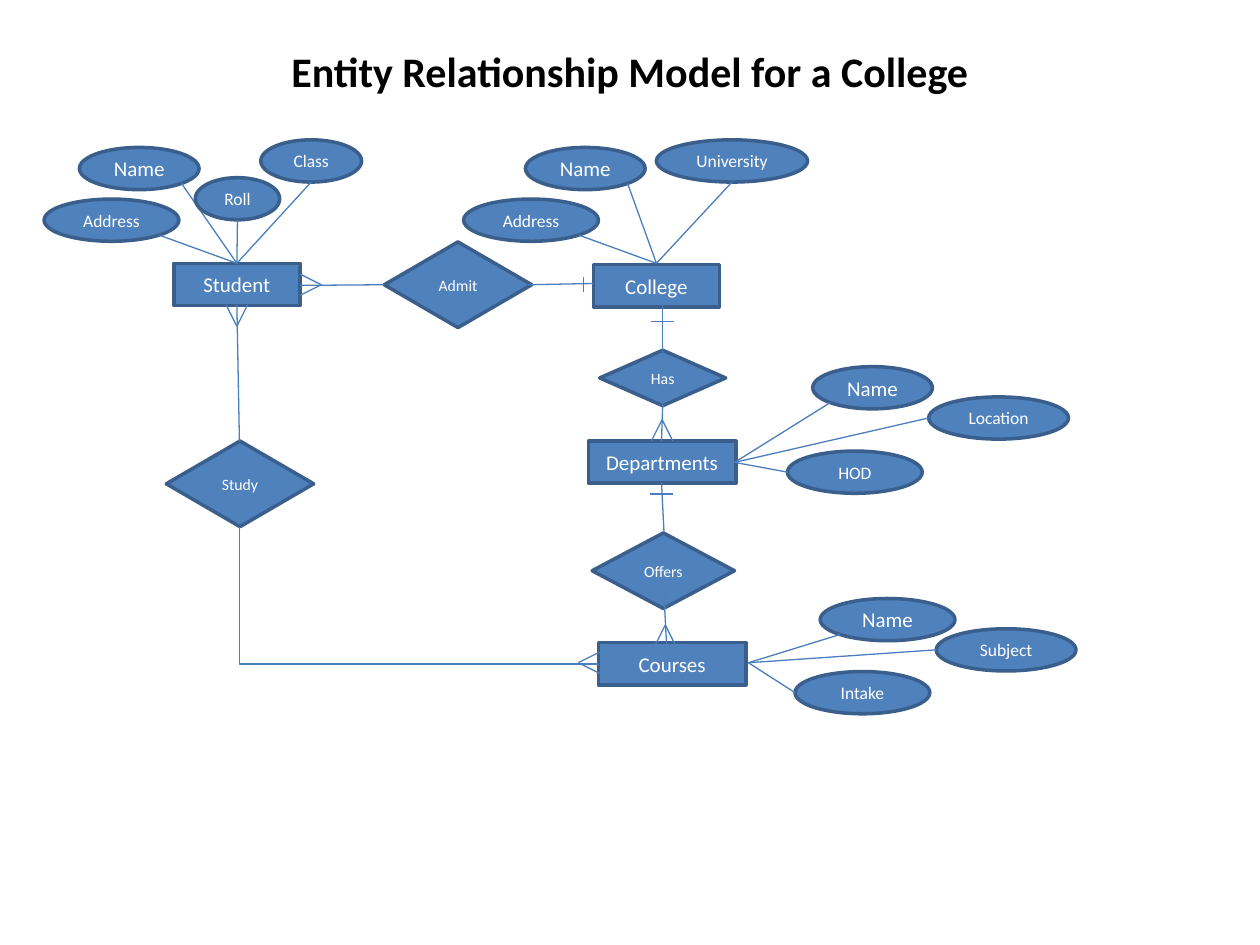
import math

import lxml.etree
import pptx
import pptx.dml.color
import pptx.enum.shapes
import pptx.enum.text
import pptx.oxml.ns
import pptx.util

RGBColor = pptx.dml.color.RGBColor
SHAPE = pptx.enum.shapes.MSO_SHAPE
CONNECTOR = pptx.enum.shapes.MSO_CONNECTOR

BLACK = RGBColor(0x00, 0x00, 0x00)
WHITE = RGBColor(0xFF, 0xFF, 0xFF)
NODE_FILL = RGBColor(0x4F, 0x81, 0xBD)
NODE_LINE = RGBColor(0x3A, 0x5F, 0x8C)
LINK = RGBColor(0x4B, 0x7E, 0xBC)
FONT = "Calibri"

# The slide is a grid of 100 columns and 75 square rows.
COLUMNS, ROWS = 100, 75
CELL = pptx.util.Inches(0.1)
NODE_HEIGHT = 3.35
TOE_LENGTH, TOE_SPREAD = 1.7, 0.85

# text, left, top, width
ENTITIES = [
    ("Student", 13.8, 20.9, 10),
    ("College", 47.1, 21, 10),
    ("Departments", 46.7, 35, 11.7),
    ("Courses", 47.5, 51, 11.7),
]

# text, left, top, width, height
RELATIONSHIPS = [
    ("Admit", 30.5, 19.2, 11.7, 6.8),
    ("Has", 47.6, 27.8, 10, 4.4),
    ("Offers", 47, 42.3, 11.3, 6),
    ("Study", 13.2, 35, 11.7, 6.8),
]

# meeting point on the entity, then: text, left, top, width, side the line leaves
ATTRIBUTES = [
    ((18.8, 20.9), [
        ("Name", 6.3, 11.7, 9.5, (1, 1)),
        ("Address", 3.5, 15.8, 10.7, (1, 1)),
        ("Roll", 15.5, 14.1, 6.7, (0, 1)),
        ("Class", 20.7, 11.1, 8, (0, 1)),
    ]),
    ((52.1, 20.9), [
        ("Name", 41.7, 11.7, 9.5, (1, 1)),
        ("Address", 36.8, 15.8, 10.7, (1, 1)),
        ("University", 52.1, 11.1, 12, (0, 1)),
    ]),
    ((58.3, 36.7), [
        ("Name", 64.5, 29.1, 9.5, (-1, 1)),
        ("HOD", 62.5, 35.8, 10.7, (-1, 0)),
        ("Location", 73.7, 31.5, 11.1, (-1, 0)),
    ]),
    ((59.4, 52.6), [
        ("Name", 65.1, 47.5, 10.7, (-1, 1)),
        ("Intake", 63.1, 53.3, 10.7, (-1, 0)),
        ("Subject", 74.3, 49.9, 11.1, (-1, 0)),
    ]),
]

LINKS = [
    ((23.8, 22.65), (30.5, 22.6)),
    ((41.9, 22.6), (47.1, 22.5)),
    ((52.6, 23.7), (52.6, 28.3)),
    ((52.6, 32.1), (52.5, 35)),
    ((52.5, 38.3), (52.7, 42.2)),
    ((52.7, 47.2), (52.9, 51.1)),
    ((18.8, 24.2), (19, 35)),
]

# centre, half width, half height
ONE_BARS = [
    ((46.3, 22.6), 0, 0.6),
    ((52.6, 25.5), 0.9, 0),
    ((52.5, 39.2), 0.9, 0),
]

# tip, direction from the tip to the entity
CROW_FEET = [
    ((25.5, 22.6), (-1, 0)),
    ((52.55, 33.3), (0, 1)),
    ((52.8, 49.6), (0, 1)),
    ((45.9, 52.6), (1, 0)),
    ((18.8, 25.9), (0, -1)),
]


def cells(*counts):
    return [round(count * CELL) for count in counts]


def write(shape, text, size, color, bold=False):
    frame = shape.text_frame
    frame.text = text
    frame.word_wrap = False
    frame.vertical_anchor = pptx.enum.text.MSO_ANCHOR.MIDDLE
    frame.margin_left = frame.margin_right = 0
    frame.margin_top = frame.margin_bottom = 0
    para = frame.paragraphs[0]
    para.alignment = pptx.enum.text.PP_ALIGN.CENTER
    font = para.runs[0].font
    font.name, font.size, font.bold = FONT, pptx.util.Pt(size), bold
    font.color.rgb = color


def add_title(page, text):
    box = page.shapes.add_textbox(*cells(5, 3, COLUMNS - 10, 5.3))
    write(box, text, 24, BLACK, bold=True)
    box.text_frame.word_wrap = True


def add_node(page, kind, text, size, left, top, width, height=NODE_HEIGHT):
    node = page.shapes.add_shape(kind, *cells(left, top, width, height))
    node.shadow.inherit = False
    node.fill.solid()
    node.fill.fore_color.rgb = NODE_FILL
    node.line.color.rgb = NODE_LINE
    node.line.width = pptx.util.Pt(2)
    write(node, text, size, WHITE)


def add_link(page, start, end, kind=CONNECTOR.STRAIGHT):
    link = page.shapes.add_connector(kind, *cells(*start, *end))
    link.line.color.rgb = LINK
    link.line.width = pptx.util.Pt(0.75)
    lxml.etree.SubElement(link._element.spPr, pptx.oxml.ns.qn("a:effectLst"))
    return link


def add_corner_link(page, start, end):
    """Run down from start, then right to end, with a single bend."""
    across, down = end[0] - start[0], end[1] - start[1]
    middle_x, middle_y = start[0] + across / 2, start[1] + down / 2
    # A one-bend connector starts sideways, so it is mirrored and turned by 270 degrees.
    link = add_link(page, (middle_x + down / 2, middle_y - across / 2),
                    (middle_x - down / 2, middle_y + across / 2), CONNECTOR.ELBOW)
    properties = link._element.spPr
    properties.find(pptx.oxml.ns.qn("a:xfrm")).set("rot", str(270 * 60000))
    properties.find(pptx.oxml.ns.qn("a:prstGeom")).set("prst", "bentConnector2")


def add_attribute(page, hub, text, left, top, width, side):
    """Draw an attribute's ellipse and the line from its rim to the hub."""
    size = 12 if text == "Name" else 10
    add_node(page, SHAPE.OVAL, text, size, left, top, width)
    reach = 0.5 / math.hypot(*side)
    rim = (left + width * (0.5 + reach * side[0]),
           top + NODE_HEIGHT * (0.5 + reach * side[1]))
    add_link(page, rim, hub)


def add_crow_foot(page, tip, direction):
    """Draw the two toes that mark the many side of a relationship."""
    x, y = direction
    for spread in (-TOE_SPREAD, TOE_SPREAD):
        toe = (tip[0] + x * TOE_LENGTH + y * spread,
               tip[1] + y * TOE_LENGTH + x * spread)
        add_link(page, toe, tip)


def main():
    deck = pptx.Presentation()
    deck.slide_width, deck.slide_height = cells(COLUMNS, ROWS)
    page = deck.slides.add_slide(deck.slide_layouts[6])

    add_title(page, "Entity Relationship Model for a College")
    for text, *place in ENTITIES:
        add_node(page, SHAPE.RECTANGLE, text, 12, *place)
    for text, *place in RELATIONSHIPS:
        add_node(page, SHAPE.DIAMOND, text, 9, *place)
    for hub, attributes in ATTRIBUTES:
        for attribute in attributes:
            add_attribute(page, hub, *attribute)
    for start, end in LINKS:
        add_link(page, start, end)
    add_corner_link(page, (19, 41.8), (47.5, 52.7))
    for (x, y), across, down in ONE_BARS:
        add_link(page, (x - across, y - down), (x + across, y + down))
    for tip, direction in CROW_FEET:
        add_crow_foot(page, tip, direction)

    deck.save("out.pptx")


if __name__ == "__main__":
    main()
